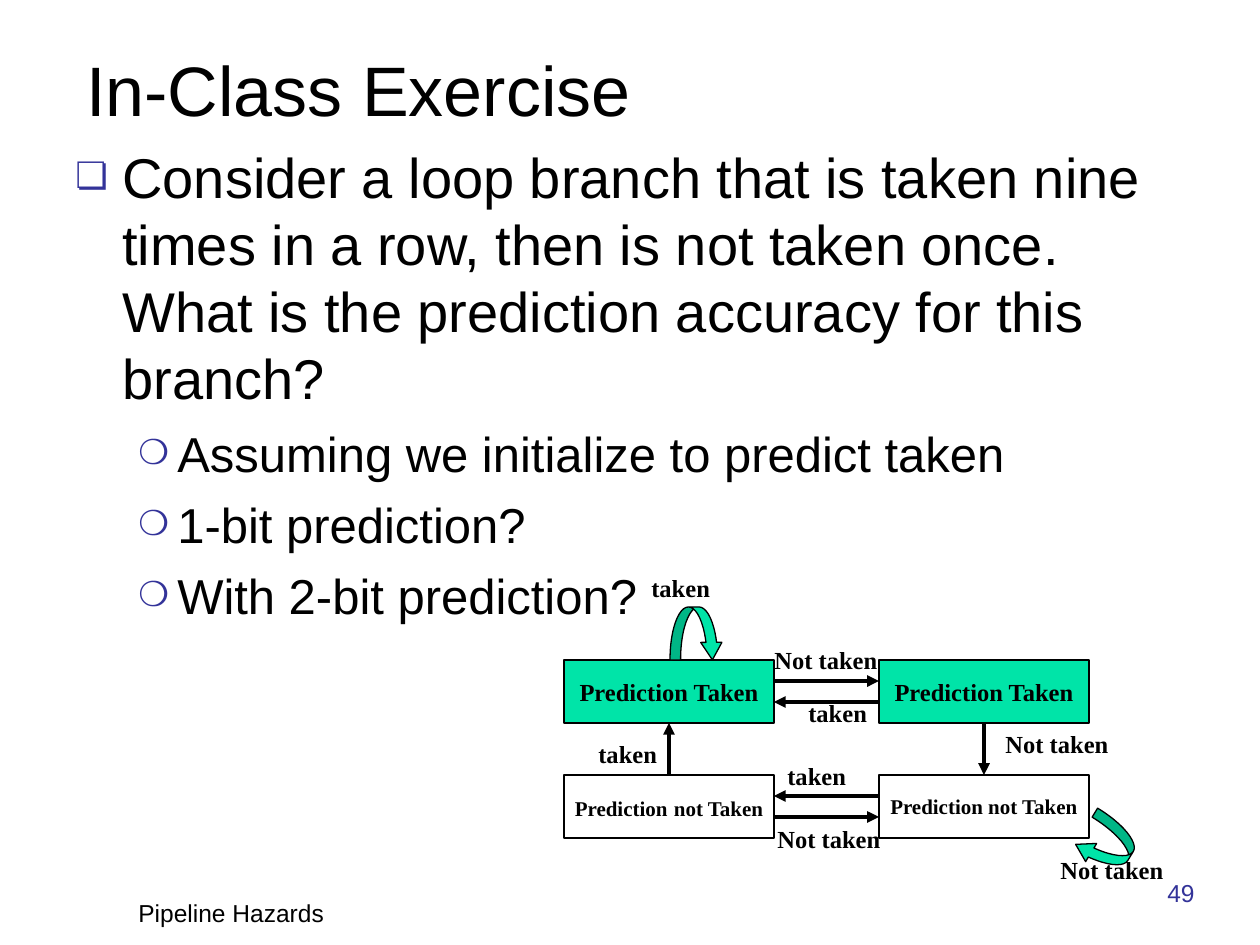
"""Build the in-class exercise slide on branch prediction."""
from lxml import etree
from pptx import Presentation
from pptx.dml.color import RGBColor
from pptx.enum.shapes import MSO_CONNECTOR, MSO_SHAPE
from pptx.enum.text import MSO_ANCHOR, MSO_AUTO_SIZE, PP_ALIGN
from pptx.oxml.ns import qn
from pptx.util import Pt

RECT, CURVED = MSO_SHAPE.RECTANGLE, MSO_SHAPE.CURVED_DOWN_ARROW
STRAIGHT = MSO_CONNECTOR.STRAIGHT
TOP, MIDDLE, BOTTOM = MSO_ANCHOR.TOP, MSO_ANCHOR.MIDDLE, MSO_ANCHOR.BOTTOM
LEFT, CENTER, RIGHT = PP_ALIGN.LEFT, PP_ALIGN.CENTER, PP_ALIGN.RIGHT
GROW = MSO_AUTO_SIZE.SHAPE_TO_FIT_TEXT
BLACK = RGBColor(0x00, 0x00, 0x00)
BLUE = RGBColor(0x33, 0x33, 0x99)
GREEN = RGBColor(0x00, 0xE4, 0xA8)
SANS, SERIF = "Arial", "Times New Roman"
SCALE = 914400 / 126

FRAME_TEXTS = [
    ("Pipeline Hazards", (126, 892, 262, 42), 14, BLACK, LEFT),
    ("49", (1050, 872, 157, 42), 14, BLUE, RIGHT),
    ("In-Class Exercise", (74, 76, 1124, 61), 40, BLACK, LEFT),
]
BODY_BOX = (63, 136, 1144, 735)
BODY = [
    (0, "Consider a loop branch that is taken nine times in a row, then is not "
        "taken once. What is the prediction accuracy for this branch?"),
    (1, "Assuming we initialize to predict taken"),
    (1, "1-bit prediction?"),
    (1, "With 2-bit prediction?"),
]
LEVELS = [
    {"size": 32, "before": 0, "margin": 47, "indent": -47, "bullet": "❏", "percent": 65},
    {"size": 28, "before": 7, "margin": 102, "indent": -39, "bullet": "❍", "percent": 70},
]
COLS, ROWS = (564, 879), (660, 775)
STATE_W, STATE_H = 210, 63
STATES = [
    (0, 0, GREEN, [("Prediction Taken", 14)]),
    (1, 0, GREEN, [("Prediction Taken", 14)]),
    (0, 1, None, [("Prediction", 12), (" ", 14), ("not Taken", 12)]),
    (1, 1, None, [("Prediction not Taken", 12)]),
]
LOOPS = [(1080, 818, 121.2), (670, 607, 359.8)]
LOOP_SIZE = 53
GAP_LEFT, GAP_RIGHT = COLS[0] + STATE_W, COLS[1]
GAP_TOP, GAP_BOTTOM = ROWS[0] + STATE_H, ROWS[1]
MID_LEFT, MID_RIGHT = (x + STATE_W // 2 for x in COLS)
ARROWS = [
    (MID_LEFT, GAP_BOTTOM, MID_LEFT, GAP_TOP),
    (MID_RIGHT, GAP_TOP, MID_RIGHT, GAP_BOTTOM),
    (GAP_LEFT, ROWS[0] + 21, GAP_RIGHT, ROWS[0] + 21),
    (GAP_RIGHT, ROWS[0] + 42, GAP_LEFT, ROWS[0] + 42),
    (GAP_RIGHT, ROWS[1] + 21, GAP_LEFT, ROWS[1] + 21),
    (GAP_LEFT, ROWS[1] + 42, GAP_RIGHT, ROWS[1] + 42),
]
LABEL_W, LABEL_H = {"taken": 86, "Not taken": 130}, 43
LABELS = {
    "taken": [(639, 567), (586, 733), (775, 755), (796, 692)],
    "Not taken": [(1048, 849), (762, 639), (993, 723), (765, 818)],
}


def px(*values):
    return [round(v * SCALE) for v in values]


def add_run(p, text, size, font, color, bold=False):
    r = p.add_run()
    r.text = text
    r.font.size, r.font.name, r.font.bold = Pt(size), font, bold
    r.font.color.rgb = color


def add_text_box(s, box, anchor=TOP, wrap=True):
    tf = s.shapes.add_textbox(*px(*box)).text_frame
    tf.word_wrap, tf.vertical_anchor = wrap, anchor
    return tf


def add_bullet(p, level):
    ppr = p._p.get_or_add_pPr()
    margin, indent = px(level["margin"], level["indent"])
    ppr.set("marL", str(margin))
    ppr.set("indent", str(indent))
    color = etree.SubElement(ppr, qn("a:buClr"))
    etree.SubElement(color, qn("a:srgbClr"), val=str(BLUE))
    etree.SubElement(ppr, qn("a:buSzPct"), val=str(level["percent"] * 1000))
    etree.SubElement(ppr, qn("a:buFont"), typeface=SANS)
    etree.SubElement(ppr, qn("a:buChar"), char=level["bullet"])


def add_body(s):
    tf = add_text_box(s, BODY_BOX)
    for i, (depth, text) in enumerate(BODY):
        level = LEVELS[depth]
        p = tf.add_paragraph() if i else tf.paragraphs[0]
        p.level = depth
        add_bullet(p, level)
        p.space_before = Pt(level["before"])
        p.line_spacing = Pt(level["size"] * 1.2)
        add_run(p, text, level["size"], SANS, BLACK)


def add_shape(s, kind, box, fill):
    sp = s.shapes.add_shape(kind, *px(*box))
    sp.shadow.inherit = False
    if fill is None:
        sp.fill.background()
    else:
        sp.fill.solid()
        sp.fill.fore_color.rgb = fill
    sp.line.color.rgb, sp.line.width = BLACK, Pt(0.75)
    return sp


def add_state(s, col, row, fill, runs):
    sp = add_shape(s, RECT, (COLS[col], ROWS[row], STATE_W, STATE_H), fill)
    tf = sp.text_frame
    tf.word_wrap, tf.vertical_anchor = False, MIDDLE
    p = tf.paragraphs[0]
    p.alignment = CENTER
    for text, size in runs:
        add_run(p, text, size, SERIF, BLACK, True)


def add_loop(s, x, y, rotation):
    sp = add_shape(s, CURVED, (x, y, LOOP_SIZE, LOOP_SIZE), GREEN)
    sp.rotation = rotation
    for i, value in enumerate((0.2, 0.4, 0.33)):
        sp.adjustments[i] = value


def add_arrow(s, ends):
    line = s.shapes.add_connector(STRAIGHT, *px(*ends))
    line.line.color.rgb, line.line.width = BLACK, Pt(2.25)
    etree.SubElement(line.line._get_or_add_ln(), qn("a:tailEnd"), type="triangle")
    etree.SubElement(line._element.spPr, qn("a:effectLst"))


def main():
    prs = Presentation()
    prs.slide_width, prs.slide_height = px(1260, 945)
    s = prs.slides.add_slide(prs.slide_layouts[6])
    for text, box, size, color, align in FRAME_TEXTS:
        p = add_text_box(s, box, BOTTOM).paragraphs[0]
        p.alignment = align
        add_run(p, text, size, SANS, color)
    add_body(s)
    for state in STATES:
        add_state(s, *state)
    for loop in LOOPS:
        add_loop(s, *loop)
    for ends in ARROWS:
        add_arrow(s, ends)
    for text, places in LABELS.items():
        for x, y in places:
            tf = add_text_box(s, (x, y, LABEL_W[text], LABEL_H), wrap=False)
            tf.auto_size = GROW
            add_run(tf.paragraphs[0], text, 14, SERIF, BLACK, True)
    prs.save("out.pptx")


if __name__ == "__main__":
    main()
